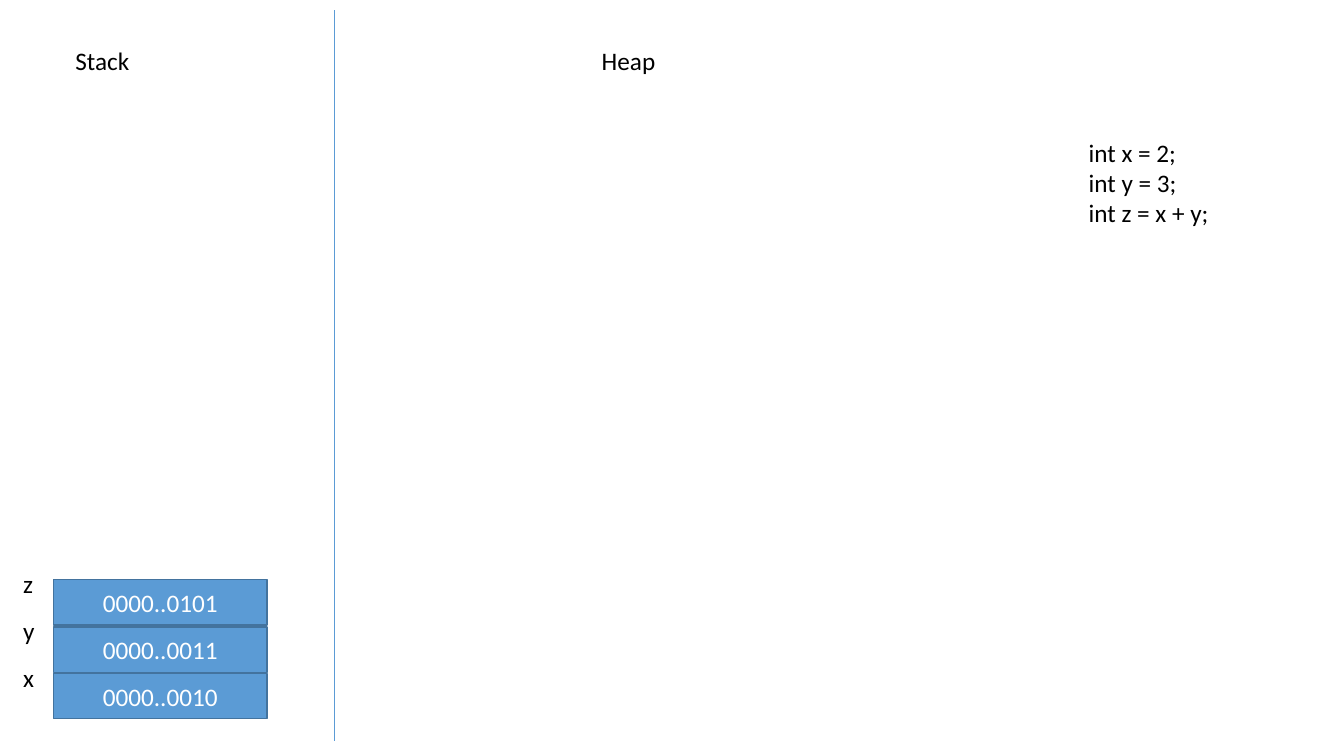
from pptx import Presentation
from pptx.dml.color import RGBColor
from pptx.enum.shapes import MSO_CONNECTOR, MSO_SHAPE
from pptx.enum.text import MSO_ANCHOR, MSO_AUTO_SIZE, PP_ALIGN
from pptx.util import Inches, Pt
from lxml import etree

COLORS = {"text": "000000", "cell": "5B9BD5", "border": "43739E", "value": "FFFFFF"}
DRAWING_NS = "http://schemas.openxmlformats.org/drawingml/2006/main"


def write(frame, lines, color, align=PP_ALIGN.LEFT):
    frame.text = "\n".join(lines)
    for paragraph in frame.paragraphs:
        paragraph.alignment = align
        paragraph.font.name = "Calibri"
        paragraph.font.size = Pt(18)
        paragraph.font.color.rgb = RGBColor.from_string(COLORS[color])


def add_label(left, top, width, height, *lines):
    box = slide.shapes.add_textbox(Inches(left), Inches(top), Inches(width), Inches(height))
    box.text_frame.word_wrap = False
    box.text_frame.auto_size = MSO_AUTO_SIZE.SHAPE_TO_FIT_TEXT
    write(box.text_frame, lines, "text")


deck = Presentation()
deck.slide_width, deck.slide_height = Inches(13.33), Inches(7.5)
slide = deck.slides.add_slide(deck.slide_layouts[6])

divider = slide.shapes.add_connector(
    MSO_CONNECTOR.STRAIGHT, Inches(3.32), Inches(0.1), Inches(3.32), Inches(7.35))
divider.line.color.rgb = RGBColor.from_string(COLORS["cell"])
divider.line.width = Pt(0.5)
etree.SubElement(divider.line._get_or_add_ln().getparent(), f"{{{DRAWING_NS}}}effectLst")

for heading, left in (("Stack", 0.65), ("Heap", 5.87)):
    add_label(left, 0.4, 0.74, 0.4, heading)

add_label(10.7, 1.31, 1.43, 1.01, "int x = 2;", "int y = 3;", "int z = x + y;")

variables = (("x", "0000..0010", 6.68), ("y", "0000..0011", 6.22), ("z", "0000..0101", 5.75))
for variable, bits, top in variables:
    cell = slide.shapes.add_shape(
        MSO_SHAPE.RECTANGLE, Inches(0.53), Inches(top), Inches(2.12), Inches(0.45))
    cell.shadow.inherit = False
    cell.fill.solid()
    cell.fill.fore_color.rgb = RGBColor.from_string(COLORS["cell"])
    cell.line.color.rgb = RGBColor.from_string(COLORS["border"])
    cell.line.width = Pt(1)
    cell.text_frame.vertical_anchor = MSO_ANCHOR.MIDDLE
    write(cell.text_frame, [bits], "value", PP_ALIGN.CENTER)
    add_label(0.13, top - 0.16, 0.31, 0.4, variable)

deck.save("out.pptx")
